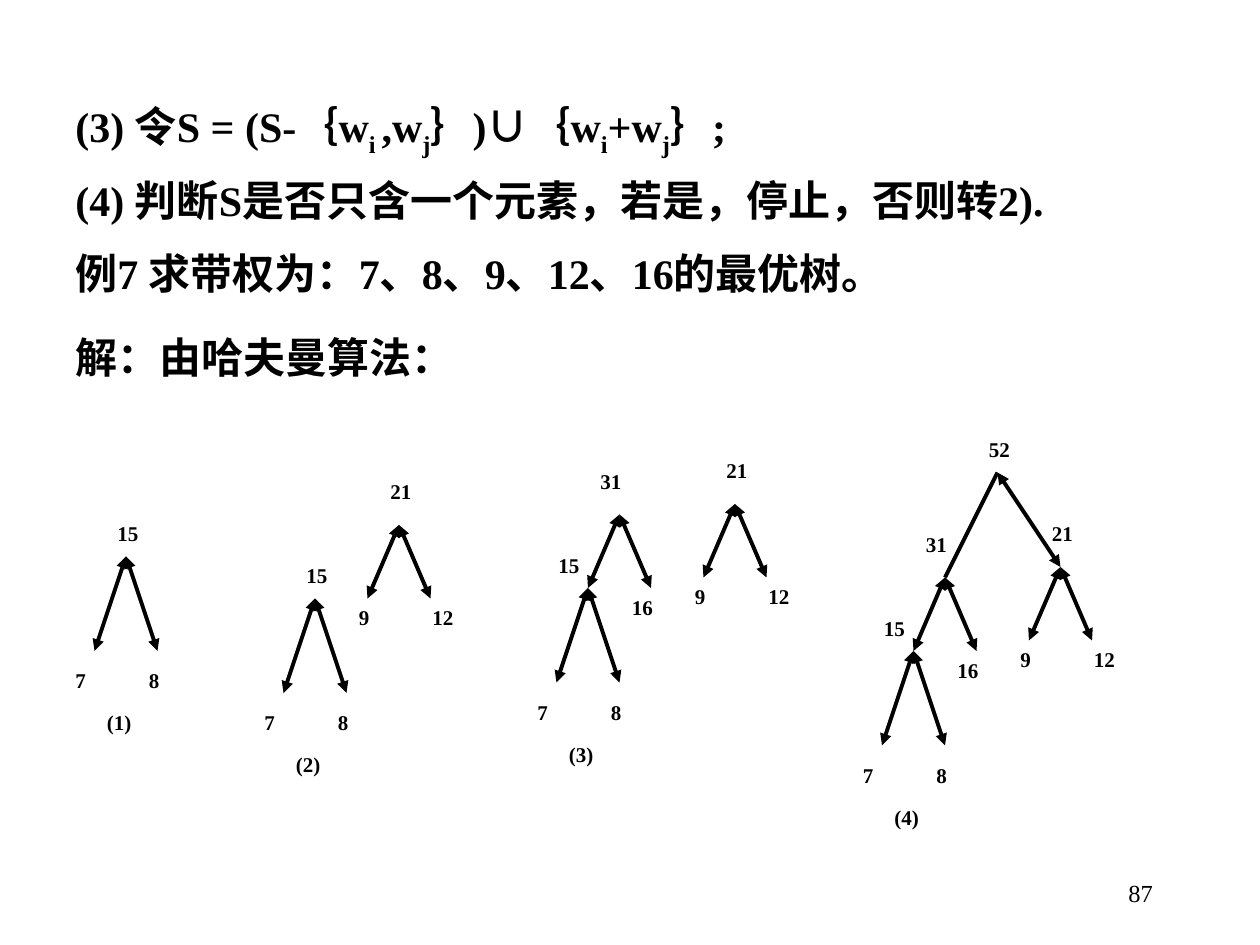
from dataclasses import dataclass
from typing import NamedTuple

from lxml.etree import SubElement
from pptx import Presentation
from pptx.dml.color import RGBColor
from pptx.enum.shapes import MSO_CONNECTOR
from pptx.enum.text import MSO_ANCHOR, MSO_AUTO_SIZE, PP_ALIGN
from pptx.oxml.ns import qn
from pptx.util import Inches, Pt

COLUMNS, ROWS = 120, 90
CELL = Inches(10) / COLUMNS


@dataclass(frozen=True)
class Theme:
    ink: RGBColor = RGBColor(0, 0, 0)
    latin: str = "Times New Roman"
    cjk: str = "Noto Sans CJK SC"
    body: Pt = Pt(24)
    node: Pt = Pt(12)
    page: Pt = Pt(14)
    edge: Pt = Pt(2.25)


THEME = Theme()


class Span(NamedTuple):
    text: str
    subscript: bool = False
    font: str = THEME.latin


class Label(NamedTuple):
    text: str
    dx: float
    dy: float
    width: float = 6


class Fork(NamedTuple):
    """Two edges falling from an apex, with labels placed relative to it."""
    drop: float
    labels: tuple[Label, ...]


class Placed(NamedTuple):
    fork: Fork
    column: float
    row: float


class Edge(NamedTuple):
    start: tuple[float, float]
    end: tuple[float, float]
    arrows: bool = True


class Step(NamedTuple):
    forks: tuple[Placed, ...]
    edges: tuple[Edge, ...] = ()
    extra: tuple[Label, ...] = ()


def fork_15(label_dx: float, caption: str) -> Fork:
    return Fork(9, (Label("7", -6, 10, 4.2), Label("8", 1, 10, 4.2),
                    Label("15", label_dx, -4), Label(caption, -3, 14)))


FORK_21 = Fork(7, (Label("9", -5, 7), Label("12", 2, 7), Label("21", -2, -5)))
FORK_31 = Fork(7, (Label("16", 0, 7), Label("31", -3, -5)))
HALF_SPREAD = 3

STEPS = (
    Step((Placed(fork_15(-2, "(1)"), 12, 53),)),
    Step((Placed(fork_15(-2, "(2)"), 30, 57), Placed(FORK_21, 38, 50))),
    Step((Placed(FORK_21, 70, 48), Placed(fork_15(-4, "(3)"), 56, 56),
          Placed(FORK_31, 59, 49))),
    Step((Placed(FORK_21, 101, 54), Placed(fork_15(-4, "(4)"), 87, 62),
          Placed(FORK_31, 90, 55)),
         (Edge((95, 45), (90, 55), arrows=False), Edge((95, 45), (101, 54))),
         (Label("52", 93, 41),)),
)

STATEMENTS = {
    9: (Span("(3) 令S = (S-｛w"), Span("i ", True), Span(",w"), Span("j", True),
        Span("｝)"), Span("∪", font=THEME.cjk), Span("｛w"), Span("i", True),
        Span("+w"), Span("j", True), Span("｝;")),
    16: (Span("(4) 判断S是否只含一个元素，若是，停止，否则转2)."),),
    23: (Span("例7 求带权为：7、8、9、12、16的最优树。"),),
    31: (Span("解：由哈夫曼算法："),),
}


def cells(*counts: float) -> list[int]:
    return [round(count * CELL) for count in counts]


def write(shapes, spans: tuple[Span, ...], area: tuple[float, ...], size: Pt,
          bold: bool = True, align: PP_ALIGN = PP_ALIGN.LEFT, **frame_format) -> None:
    frame = shapes.add_textbox(*cells(*area)).text_frame
    frame_format = {"word_wrap": True, "auto_size": MSO_AUTO_SIZE.SHAPE_TO_FIT_TEXT,
                    **frame_format}
    for name, value in frame_format.items():
        setattr(frame, name, value)
    paragraph = frame.paragraphs[0]
    paragraph.alignment = align
    for span in spans:
        run = paragraph.add_run()
        run.text = span.text
        for name, value in {"name": span.font, "size": size, "bold": bold}.items():
            setattr(run.font, name, value)
        run.font.color.rgb = THEME.ink
        properties = run._r.get_or_add_rPr()
        SubElement(properties, qn("a:ea"), typeface=THEME.cjk)
        if span.subscript:
            properties.set("baseline", "-25000")


def write_label(shapes, label: Label, column: float = 0, row: float = 0) -> None:
    area = (column + label.dx, row + label.dy, label.width, 3.6)
    write(shapes, (Span(label.text),), area, THEME.node)


def draw_edge(shapes, edge: Edge) -> None:
    connector = shapes.add_connector(MSO_CONNECTOR.STRAIGHT, *cells(*edge.start, *edge.end))
    connector.line.width = THEME.edge
    connector.line.color.rgb = THEME.ink
    if edge.arrows:
        for tip in ("a:headEnd", "a:tailEnd"):
            SubElement(connector.line._get_or_add_ln(), qn(tip), type="triangle")
    SubElement(connector._element.spPr, qn("a:effectLst"))


def draw_step(slide, step: Step) -> None:
    shapes = slide.shapes.add_group_shape().shapes
    for fork, column, row in step.forks:
        for side in (-HALF_SPREAD, HALF_SPREAD):
            draw_edge(shapes, Edge((column, row), (column + side, row + fork.drop)))
        for label in fork.labels:
            write_label(shapes, label, column, row)
    for edge in step.edges:
        draw_edge(shapes, edge)
    for label in step.extra:
        write_label(shapes, label)


def main() -> None:
    deck = Presentation()
    deck.slide_width, deck.slide_height = cells(COLUMNS, ROWS)
    slide = deck.slides.add_slide(deck.slide_layouts[6])
    write(slide.shapes, (Span("87"),), (86, 82, 25, 6), THEME.page, bold=False,
          align=PP_ALIGN.RIGHT, auto_size=MSO_AUTO_SIZE.NONE,
          vertical_anchor=MSO_ANCHOR.MIDDLE)
    for row, spans in STATEMENTS.items():
        write(slide.shapes, spans, (6, row, 105, 6), THEME.body)
    for step in STEPS:
        draw_step(slide, step)
    deck.save("out.pptx")


if __name__ == "__main__":
    main()
